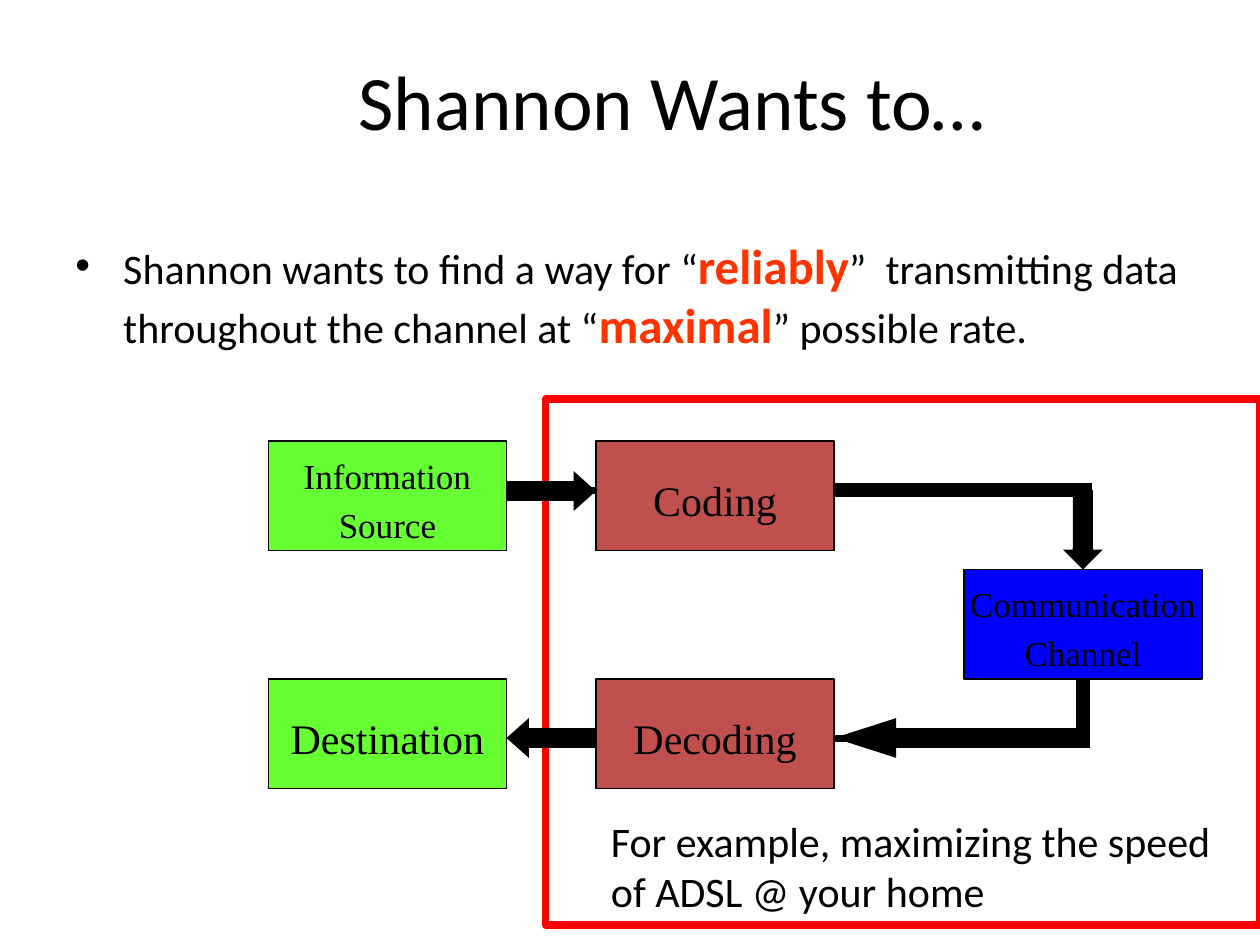
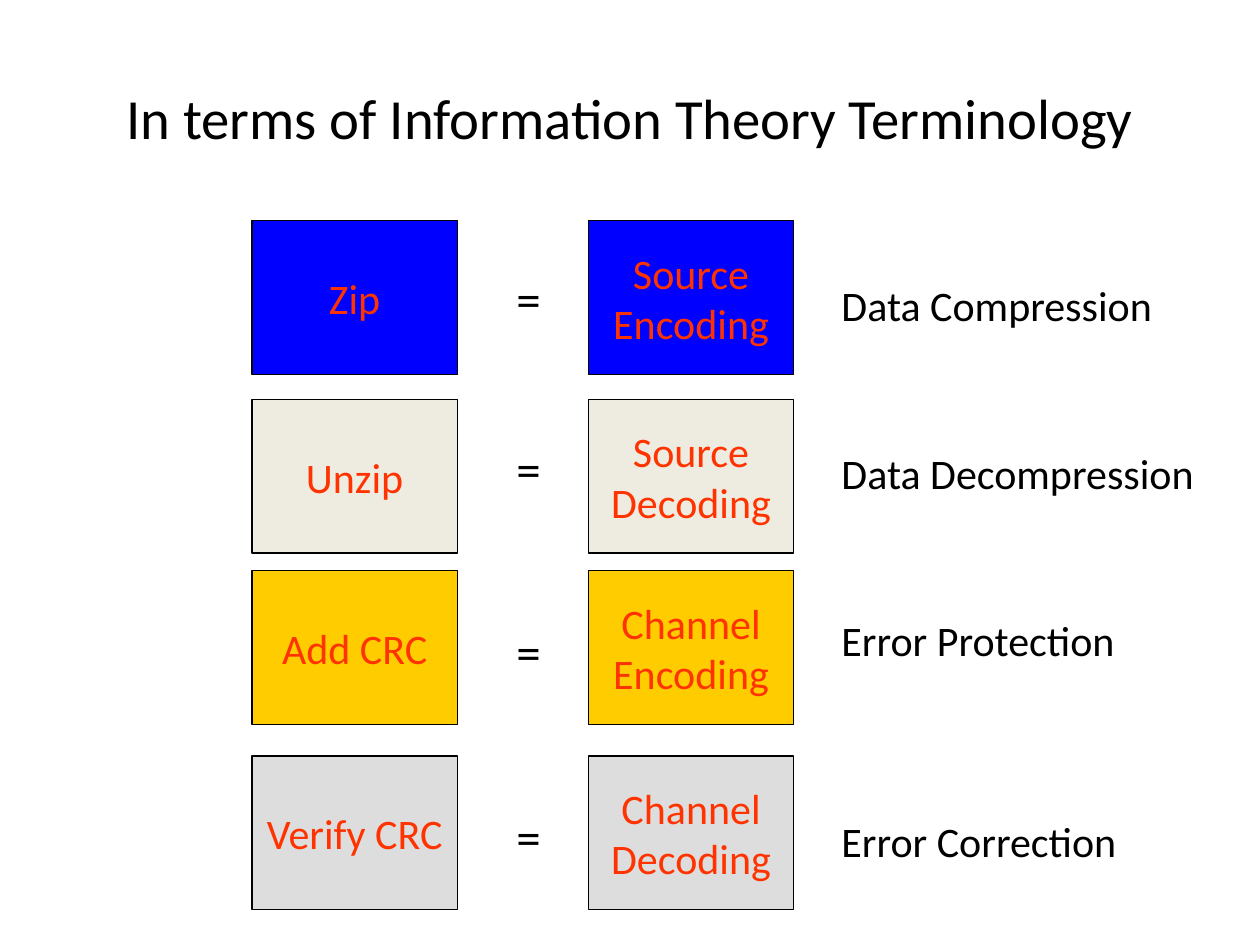
from dataclasses import dataclass

from lxml import etree
from pptx import Presentation
from pptx import util as u
from pptx.dml.color import RGBColor
from pptx.enum import shapes, text
from pptx.oxml import ns

COLOURS = {
    "black": "000000", "white": "FFFFFF", "red": "FF0000", "orange": "FF3300",
    "green": "66FF33", "brick": "C0504D", "blue": "0000FF",
    "cream": "EEECE1", "gold": "FFCC00", "grey": "DDDDDD",
}
SANS, SERIF = "Calibri", "Times New Roman"
COLUMNS, ROWS = 100, 75
WIDTH, HEIGHT = u.Inches(10), u.Inches(7.5)
INSET = 0.05
LEFT, CENTRE = text.PP_ALIGN.LEFT, text.PP_ALIGN.CENTER
TOP, MIDDLE = text.MSO_ANCHOR.TOP, text.MSO_ANCHOR.MIDDLE


@dataclass
class Area:
    """A rectangle in grid columns and rows."""
    left: float
    top: float
    width: float
    height: float

    def lengths(self) -> tuple:
        return (across(self.left), down(self.top), across(self.width), down(self.height))


@dataclass
class Style:
    size: float
    font: str = SANS
    colour: str = "black"
    align: int = LEFT
    anchor: int = TOP
    wrap: bool = True
    gap: float = 0      # points between paragraphs
    inset_top: float = INSET


@dataclass
class Stage:
    """A block of the transmission chain."""
    label: str
    left: float
    top: float
    colour: str
    size: float = 24


@dataclass
class Wire:
    start: tuple
    end: tuple
    weight: float
    arrow: bool = False


@dataclass
class BlockArrow:
    preset: int
    area: Area
    head: float


@dataclass
class Term:
    """One everyday action and its name in information theory."""
    action: str
    theory: str
    meaning: str
    colour: str
    top: float
    sign_top: float
    meaning_top: float


def across(columns: float) -> int:
    return round(WIDTH * columns / COLUMNS)


def down(rows: float) -> int:
    return round(HEIGHT * rows / ROWS)


def rgb(name: str) -> RGBColor:
    return RGBColor.from_string(COLOURS[name])


def prepare_frame(shape, style: Style):
    frame = shape.text_frame
    frame.word_wrap = style.wrap
    frame.vertical_anchor = style.anchor
    frame.margin_top = u.Inches(style.inset_top)
    return frame


def set_style(para, style: Style) -> None:
    para.alignment = style.align
    para.font.size = u.Pt(style.size)
    para.font.name = style.font
    para.font.color.rgb = rgb(style.colour)


def write(shape, words: str, style: Style) -> None:
    """Write one paragraph for each line of words."""
    frame = prepare_frame(shape, style)
    for index, line in enumerate(words.split("\n")):
        para = frame.add_paragraph() if index else frame.paragraphs[0]
        para.text = line
        set_style(para, style)
        if index:
            para.space_before = u.Pt(style.gap)


def add_text(page, area: Area, words: str, style: Style) -> None:
    write(page.shapes.add_textbox(*area.lengths()), words, style)


def add_block(page, preset: int, area: Area, fill: str = "", line: str = "",
              weight: float = 0.75):
    shape = page.shapes.add_shape(preset, *area.lengths())
    shape.shadow.inherit = False
    if fill:
        shape.fill.solid()
        shape.fill.fore_color.rgb = rgb(fill)
    else:
        shape.fill.background()
    if line:
        shape.line.color.rgb = rgb(line)
        shape.line.width = u.Pt(weight)
    else:
        shape.line.fill.background()
    return shape


def add_wire(page, wire: Wire) -> None:
    (x1, y1), (x2, y2) = wire.start, wire.end
    line = page.shapes.add_connector(shapes.MSO_CONNECTOR.STRAIGHT,
                                     across(x1), down(y1), across(x2), down(y2))
    line.line.color.rgb = rgb("black")
    line.line.width = u.Pt(wire.weight)
    if wire.arrow:
        etree.SubElement(line.line._get_or_add_ln(), ns.qn("a:tailEnd"), type="triangle")
    etree.SubElement(line._element.spPr, ns.qn("a:effectLst"))


def add_page(deck, title: str, area: Area, size: float):
    page = deck.slides.add_slide(deck.slide_layouts[6])
    page.background.fill.solid()
    page.background.fill.fore_color.rgb = rgb("white")
    add_text(page, area, title, Style(size, align=CENTRE, anchor=MIDDLE))
    return page


def add_goal(page) -> None:
    """Add the bullet with its two stressed words."""
    style = Style(24, inset_top=0.12)
    box = page.shapes.add_textbox(*Area(5, 17.5, 90, 49.5).lengths())
    para = prepare_frame(box, style).paragraphs[0]
    props = para._p.get_or_add_pPr()
    indent = u.Inches(0.38)
    props.set("marL", str(indent))
    props.set("indent", str(-indent))
    etree.SubElement(props, ns.qn("a:buFont"), typeface="Arial")
    etree.SubElement(props, ns.qn("a:buChar"), char="•")
    set_style(para, style)
    for words, stressed in [
        ("Shannon wants to find a way for “", False), ("reliably", True),
        ("”  transmitting data throughout the channel at “", False),
        ("maximal", True), ("” possible rate.", False),
    ]:
        span = para.add_run()
        span.text = words
        if stressed:
            span.font.size = u.Pt(28)
            span.font.bold = True
            span.font.color.rgb = rgb("orange")


def build_chain(deck) -> None:
    page = add_page(deck, "Shannon Wants to…", Area(15, 3.3, 76.7, 9.2), 44)
    add_goal(page)
    rect = shapes.MSO_SHAPE.RECTANGLE
    add_block(page, rect, Area(43.3, 31.7, 56.7, 41.7), line="red", weight=4.5)
    add_text(page, Area(47.5, 64.2, 50.5, 9),
             "For example, maximizing the speed of ADSL @ your home", Style(24))

    wide, high = 18.9, 8.7
    outer, inner, channel = 21.3, 47.3, 76.5
    upper, centre, lower = 35, 45.2, 53.9
    outer_end, inner_end, turn = outer + wide, inner + wide, channel + wide / 2
    send, receive = 38.9, 58.6

    for wire in (Wire((turn, receive), (outer_end, receive), 4, True),
                 Wire((outer_end, send), (turn, send), 4)):
        add_wire(page, wire)
    for stage in (
        Stage("Destination", outer, lower, "green"),
        Stage("Decoding", inner, lower, "brick"),
        Stage("Communication\nChannel", channel, centre, "blue", 20),
        Stage("Coding", inner, upper, "brick"),
        Stage("Information\nSource", outer, upper, "green", 20),
    ):
        block = add_block(page, rect, Area(stage.left, stage.top, wide, high),
                          stage.colour, "black")
        write(block, stage.label, Style(stage.size, SERIF, align=CENTRE, anchor=MIDDLE,
                                        wrap=False, gap=stage.size / 5, inset_top=0.11))
    for wire in (
        Wire((turn, lower), (turn, receive), 4),
        Wire((turn, send), (turn, centre), 4, True),
        Wire((turn, lower), (turn, 59.4), 8),
        Wire((inner_end, send), (86.7, send), 8),
    ):
        add_wire(page, wire)
    thick = 3.15
    for arrow in (
        BlockArrow(shapes.MSO_SHAPE.RIGHT_ARROW,
                   Area(outer_end, 37.4, inner - outer_end, thick), 0.56),
        BlockArrow(shapes.MSO_SHAPE.LEFT_ARROW,
                   Area(inner_end, 57, turn - inner_end, thick), 1.56),
        BlockArrow(shapes.MSO_SHAPE.DOWN_ARROW,
                   Area(turn - thick / 2, send, thick, centre - send), 0.5),
        BlockArrow(shapes.MSO_SHAPE.LEFT_ARROW,
                   Area(outer_end, 57, inner - outer_end, thick), 0.56),
    ):
        shape = add_block(page, arrow.preset, arrow.area, "black")
        shape.adjustments[0] = 0.5
        shape.adjustments[1] = arrow.head


def build_terms(deck) -> None:
    page = add_page(deck, "In terms of Information Theory Terminology",
                    Area(5, 3, 90, 12.5), 32.4)
    block_style = Style(24, colour="orange", align=CENTRE, anchor=MIDDLE)
    for term in (
        Term("Zip", "Source\nEncoding", "Data Compression", "blue", 17.5, 20.8, 21.7),
        Term("Unzip", "Source Decoding", "Data Decompression", "cream", 31.7, 34.3, 35),
        Term("Add CRC", "Channel Encoding", "Error Protection", "gold", 45.3, 48.8, 48.3),
        Term("Verify CRC", "Channel Decoding", "Error Correction", "grey", 60, 63.5, 64.2),
    ):
        for left, words in ((20, term.action), (46.7, term.theory)):
            block = add_block(page, shapes.MSO_SHAPE.RECTANGLE,
                              Area(left, term.top, 16.3, 12.2), term.colour, "black")
            write(block, words, block_style)
        add_text(page, Area(40, term.sign_top, 4.3, 5.7), "=", Style(28, wrap=False))
        add_text(page, Area(65.8, term.meaning_top, 33.2, 5), term.meaning, Style(24))


def main() -> None:
    deck = Presentation()
    deck.slide_width, deck.slide_height = WIDTH, HEIGHT
    build_chain(deck)
    build_terms(deck)
    deck.save("out.pptx")


if __name__ == "__main__":
    main()
